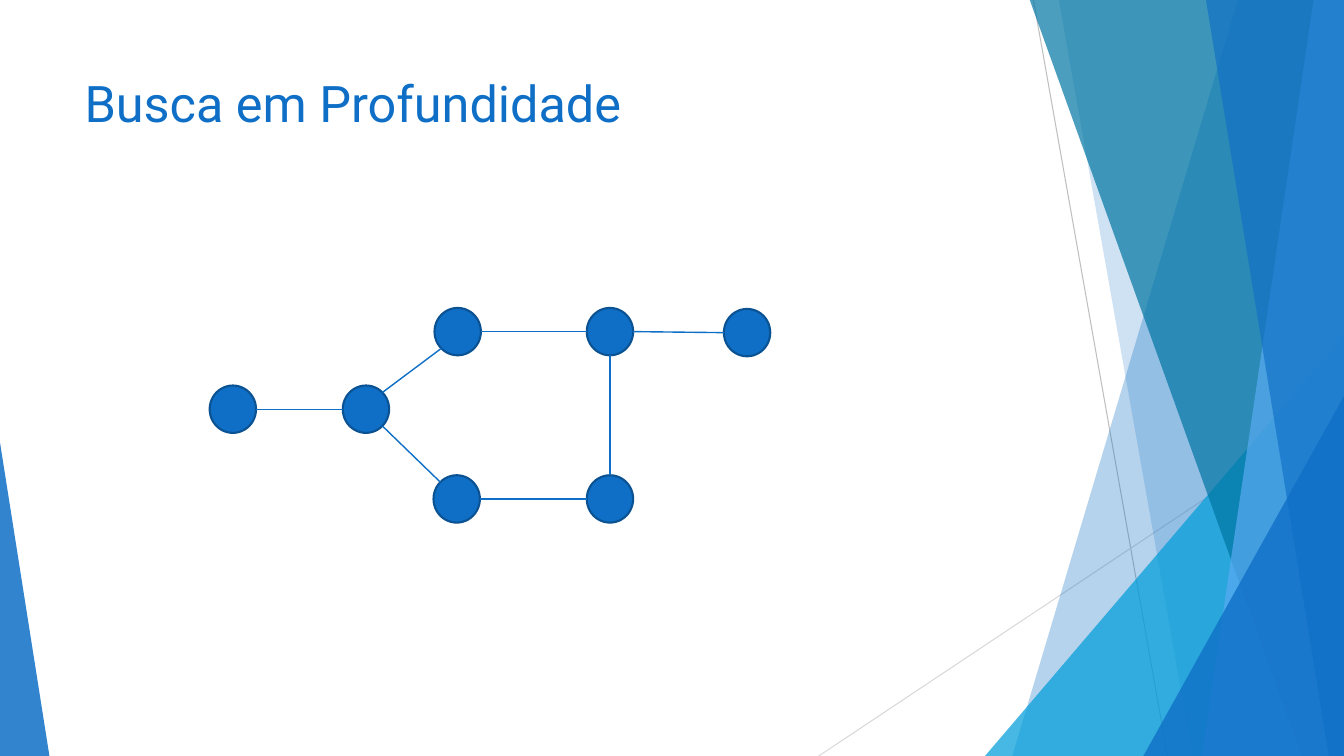
from math import cos, radians, sin

from lxml.etree import SubElement
from pptx import Presentation
from pptx.dml.color import RGBColor
from pptx.enum.shapes import MSO_CONNECTOR as Connector, MSO_SHAPE as Shape
from pptx.enum.text import MSO_ANCHOR as Anchor
from pptx.oxml.ns import qn
from pptx.util import Inches, Pt

BLUE = RGBColor(0x0F, 0x6F, 0xC6)
DARK_BLUE = RGBColor(0x0B, 0x52, 0x92)
LIGHT_BLUE = RGBColor(0x59, 0xAA, 0xF2)
CYAN = RGBColor(0x00, 0x9D, 0xD9)
TEAL = RGBColor(0x00, 0x76, 0xA3)
GREY = RGBColor(0xBF, 0xBF, 0xBF)
LIGHT_GREY = RGBColor(0xD9, 0xD9, 0xD9)

WIDTH, HEIGHT = 13.33, 7.5
BAND_TOP = -0.01
NODE_WIDTH, NODE_HEIGHT = 0.46, 0.47

# Node centres
NODES = {
    "start": (2.31, 4.06),
    "fork": (3.63, 4.06),
    "upper left": (4.54, 3.29),
    "upper right": (6.05, 3.29),
    "end": (7.41, 3.3),
    "lower left": (4.53, 4.95),
    "lower right": (6.05, 4.95),
}

# Node, angle where the edge leaves it (clockwise from the right), node, angle
EDGES = [
    ("upper left", 135, "fork", -45),
    ("fork", 45, "lower left", -135),
    ("lower left", 0, "lower right", 180),
    ("upper left", 0, "upper right", 180),
    ("upper right", 90, "lower right", -90),
    ("fork", 180, "start", 0),
    ("upper right", 0, "end", 180),
]


def rim_point(node, angle):
    x, y = NODES[node]
    turn = radians(angle)
    return x + NODE_WIDTH / 2 * cos(turn), y + NODE_HEIGHT / 2 * sin(turn)


class SlidePainter:
    font = "Roboto"

    def __init__(self, page):
        self.shapes = page.shapes

    def paint(self, shape, color, opacity=100):
        shape.shadow.inherit = False
        shape.fill.solid()
        shape.fill.fore_color.rgb = color
        shape.line.fill.background()
        if opacity < 100:
            tint = shape.fill._xPr.find(qn("a:solidFill"))[0]
            SubElement(tint, qn("a:alpha"), val=str(opacity * 1000))

    def line(self, start, end, color, weight):
        points = [Inches(value) for value in (*start, *end)]
        line = self.shapes.add_connector(Connector.STRAIGHT, *points)
        line.line.color.rgb = color
        line.line.width = Pt(weight)
        SubElement(line._element.spPr, qn("a:effectLst"))

    def band(self, top_x, bottom_x, color, opacity):
        """Fill the page from a slanted left edge to the right border."""
        builder = self.shapes.build_freeform(Inches(top_x), Inches(BAND_TOP))
        corners = [(WIDTH, BAND_TOP), (WIDTH, HEIGHT), (bottom_x, HEIGHT)]
        builder.add_line_segments([(Inches(x), Inches(y)) for x, y in corners])
        self.paint(builder.convert_to_shape(), color, opacity)

    def corner(self, left, top, width, apex, color, opacity):
        """Draw a triangle on the bottom border; apex 0 is left, 1 is right."""
        box = self.shapes.add_shape(
            Shape.ISOSCELES_TRIANGLE, Inches(left), Inches(top),
            Inches(width), Inches(HEIGHT - top))
        box.adjustments[0] = apex
        self.paint(box, color, opacity)

    def node(self, x, y):
        circle = self.shapes.add_shape(
            Shape.OVAL, Inches(x - NODE_WIDTH / 2), Inches(y - NODE_HEIGHT / 2),
            Inches(NODE_WIDTH), Inches(NODE_HEIGHT))
        self.paint(circle, BLUE)
        circle.line.color.rgb = DARK_BLUE
        circle.line.width = Pt(1.5)

    def title(self, text):
        box = self.shapes.add_textbox(
            Inches(0.74), Inches(0.67), Inches(9.4), Inches(1.03))
        frame = box.text_frame
        frame.word_wrap = True
        frame.vertical_anchor = Anchor.TOP
        frame.text = text
        span = frame.paragraphs[0].runs[0]
        span.font.name = self.font
        span.font.size = Pt(36)
        span.font.color.rgb = BLUE


def main():
    deck = Presentation()
    deck.slide_width, deck.slide_height = Inches(WIDTH), Inches(HEIGHT)
    painter = SlidePainter(deck.slides.add_slide(deck.slide_layouts[6]))

    painter.line((10.25, 0), (11.58, HEIGHT), GREY, 0.75)
    painter.line((WIDTH, 4.03), (8.12, HEIGHT), LIGHT_GREY, 0.75)
    painter.band(12.28, 10.04, BLUE, 30)
    painter.band(10.5, 11.83, BLUE, 20)
    painter.corner(9.77, 3.33, 3.56, 1, CYAN, 72)
    painter.band(10.21, 12.91, TEAL, 70)
    painter.band(13.03, 11.92, LIGHT_BLUE, 70)
    painter.band(11.96, 13.18, BLUE, 65)
    painter.corner(11.34, 3.93, 1.99, 1, BLUE, 80)
    painter.corner(0, 4.39, 0.49, 0, BLUE, 85)

    painter.title("Busca em Profundidade")
    for center in NODES.values():
        painter.node(*center)
    for first, first_angle, second, second_angle in EDGES:
        painter.line(rim_point(first, first_angle),
                     rim_point(second, second_angle), BLUE, 1)

    deck.save("out.pptx")


if __name__ == "__main__":
    main()
